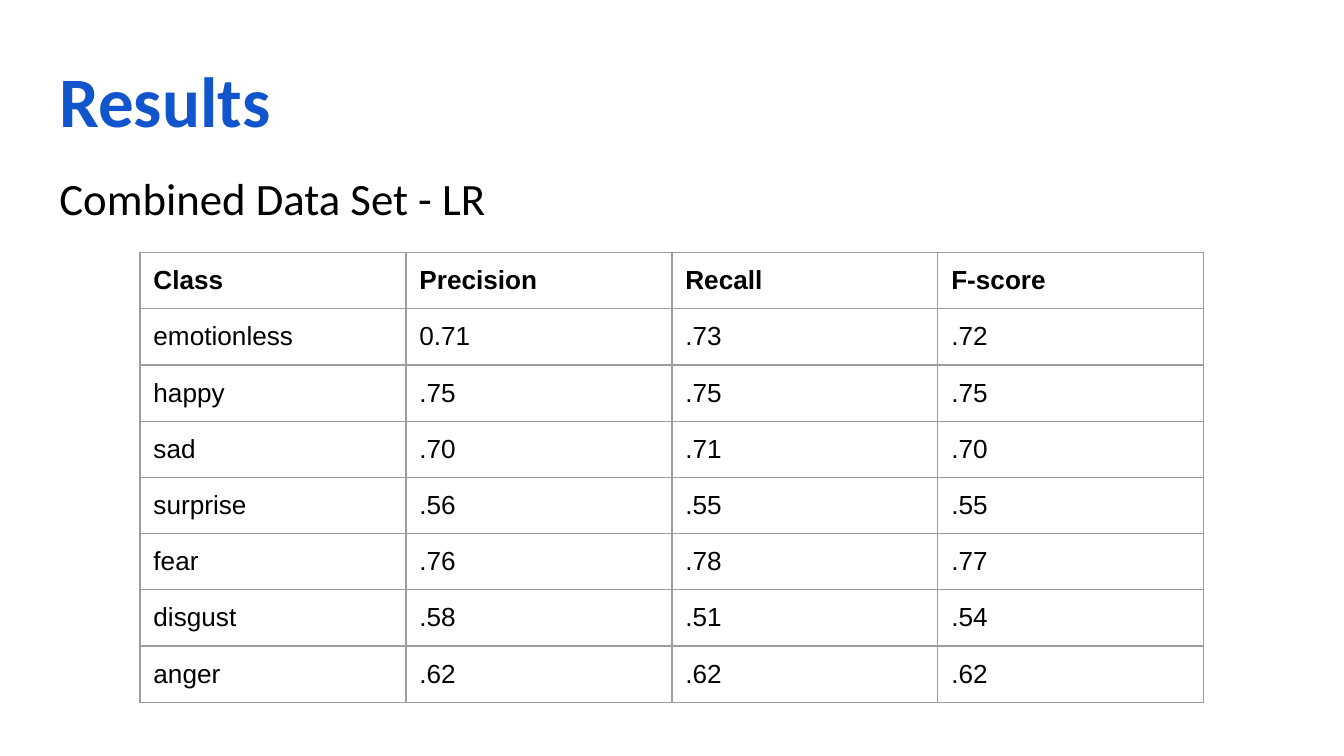
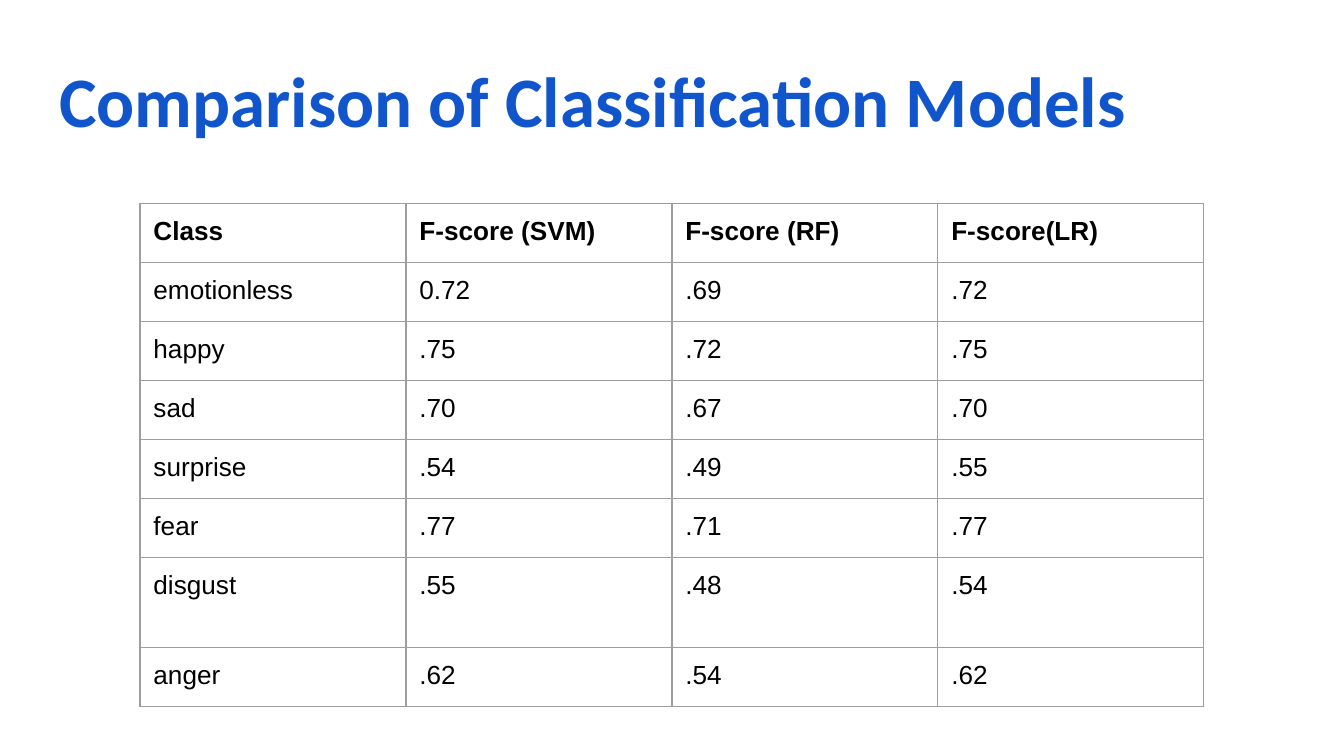
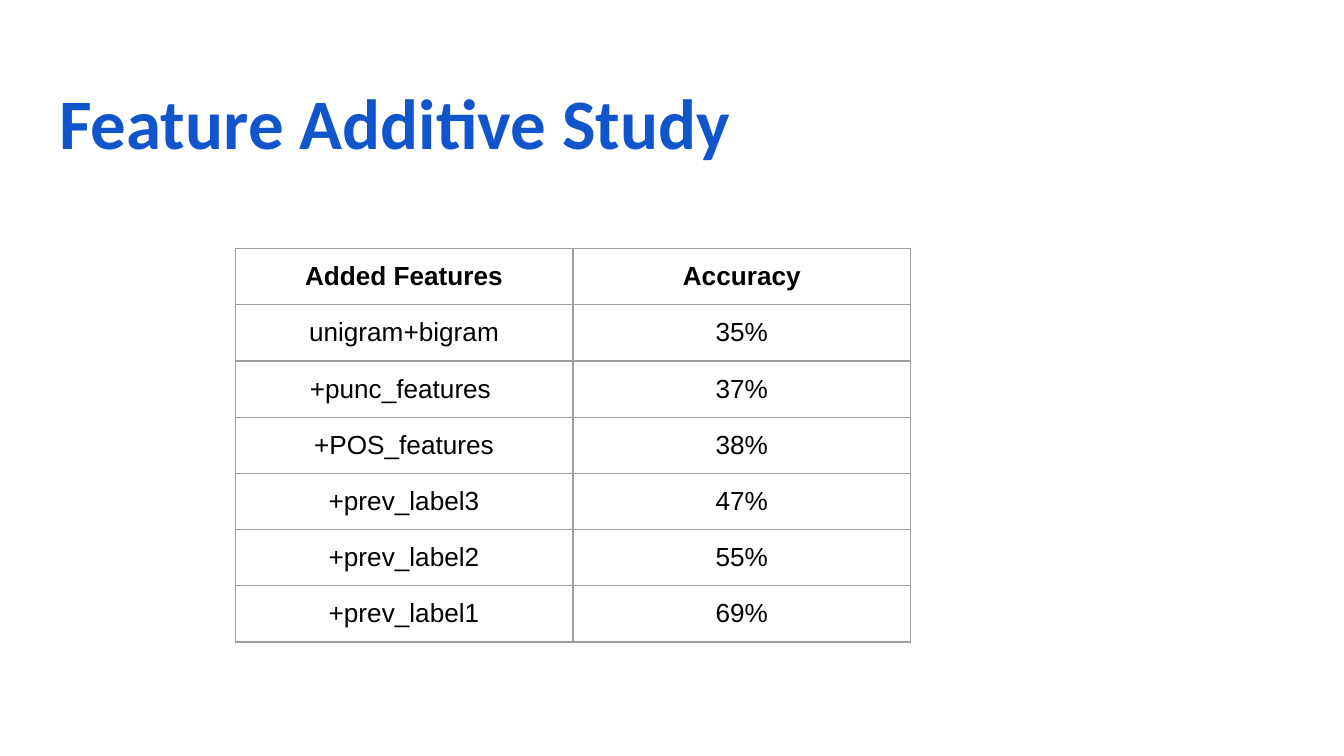
from lxml import etree
from pptx import Presentation
from pptx import util as u
from pptx.dml.color import RGBColor
from pptx.enum import text
from pptx.oxml.ns import qn

WIDTH = u.Inches(10)
HEIGHT = u.Emu(WIDTH * 9 // 16)
INSET = u.Emu(91425)
BLUE, BLACK, GREY = "1155CC", "000000", "9E9E9E"
HEADING_FONT, TABLE_FONT = "Calibri", "Arial"
TITLE_AND_BODY, TITLE_ONLY = 1, 5
LEFT, CENTER = text.PP_ALIGN.LEFT, text.PP_ALIGN.CENTER

# Places and sizes are percentages of the slide's width and height.
TEXT_LEFT, TEXT_WIDTH = 3.41, 93.2
TITLE_TOP, TITLE_HEIGHT = 5.7, 11.2
BODY_TOP, BODY_HEIGHT = 19.75, 66.5

EMOTIONS = ["emotionless", "happy", "sad", "surprise", "fear", "disgust", "anger"]
LR_SCORES = {
    "Precision": ["0.71", ".75", ".70", ".56", ".76", ".58", ".62"],
    "Recall": [".73", ".75", ".71", ".55", ".78", ".51", ".62"],
    "F-score": [".72", ".75", ".70", ".55", ".77", ".54", ".62"],
}
MODEL_SCORES = {
    "F-score (SVM)": ["0.72", ".75", ".70", ".54", ".77", ".55", ".62"],
    "F-score (RF)": [".69", ".72", ".67", ".49", ".71", ".48", ".54"],
    "F-score(LR)": LR_SCORES["F-score"],
}
FEATURE_ACCURACY = {
    "Added Features": ["unigram+bigram", "+punc_features ", "+POS_features",
                       "+prev_label3", "+prev_label2", "+prev_label1"],
    "Accuracy": ["35%", "37%", "38%", "47%", "55%", "69%"],
}


def across(percent):
    return round(WIDTH * percent / 100)


def down(percent):
    return round(HEIGHT * percent / 100)


def color(hex_code):
    return RGBColor.from_string(hex_code)


def write(paragraph, words, font, size, hex_code, bold=False, align=LEFT):
    paragraph.alignment = align
    run = paragraph.add_run()
    run.text = words
    run.font.name, run.font.size, run.font.bold = font, u.Pt(size), bold
    run.font.color.rgb = color(hex_code)


def inset(holder):
    """Give a text frame or a table cell the shared margins."""
    holder.margin_left = holder.margin_right = INSET
    holder.margin_top = holder.margin_bottom = INSET


def place_text(placeholder, top, height):
    """Move a placeholder into the text column and return its first paragraph."""
    placeholder.left, placeholder.width = across(TEXT_LEFT), across(TEXT_WIDTH)
    placeholder.top, placeholder.height = down(top), down(height)
    frame = placeholder.text_frame
    inset(frame)
    frame.word_wrap = True
    frame.auto_size = text.MSO_AUTO_SIZE.NONE
    frame.vertical_anchor = text.MSO_ANCHOR.TOP
    return frame.paragraphs[0]


def add_titled_slide(deck, layout, title, top=TITLE_TOP):
    slide = deck.slides.add_slide(deck.slide_layouts[layout])
    heading = place_text(slide.shapes.title, top, TITLE_HEIGHT)
    write(heading, title, HEADING_FONT, 38, BLUE, bold=True)
    return slide


def add_subtitle(slide, words):
    subtitle = place_text(slide.placeholders[1], BODY_TOP, BODY_HEIGHT)
    properties = subtitle._p.get_or_add_pPr()
    properties.set("marL", "0")
    properties.set("indent", "0")
    etree.SubElement(properties, qn("a:buNone"))
    subtitle.line_spacing = 1.15
    subtitle.space_before, subtitle.space_after = u.Pt(0), u.Pt(16)
    write(subtitle, words, HEADING_FONT, 24, BLACK)


def outline(cell):
    properties = cell._tc.get_or_add_tcPr()
    for side in ("lnL", "lnR", "lnT", "lnB"):
        line = etree.SubElement(properties, qn(f"a:{side}"), w=str(u.Pt(0.75)))
        fill = etree.SubElement(line, qn("a:solidFill"))
        etree.SubElement(fill, qn("a:srgbClr"), val=GREY)


def add_grid(slide, columns, left, top, column_width, row_heights, align=LEFT):
    """Draw a table from a mapping of column heads to their values."""
    rows = [list(columns), *zip(*columns.values())]
    grid = slide.shapes.add_table(
        len(rows), len(columns), across(left), down(top),
        across(column_width * len(columns)), down(sum(row_heights))).table
    grid.first_row = grid.horz_banding = False
    for column in grid.columns:
        column.width = across(column_width)
    for r, (values, height) in enumerate(zip(rows, row_heights)):
        grid.rows[r].height = down(height)
        for c, value in enumerate(values):
            cell = grid.cell(r, c)
            inset(cell)
            outline(cell)
            cell.fill.background()
            write(cell.text_frame.paragraphs[0], value, TABLE_FONT, 14, BLACK,
                  bold=r == 0, align=align)


def add_score_grid(slide, scores, top, row_heights):
    add_grid(slide, {"Class": EMOTIONS, **scores}, 10.42, top, 19.79, row_heights)


def main():
    deck = Presentation()
    deck.slide_width, deck.slide_height = WIDTH, HEIGHT

    results = add_titled_slide(deck, TITLE_AND_BODY, "Results")
    add_subtitle(results, "Combined Data Set - LR")
    add_score_grid(results, LR_SCORES, 33.42, [7.3] * 8)

    comparison = add_titled_slide(deck, TITLE_ONLY, "Comparison of Classification Models")
    add_score_grid(comparison, MODEL_SCORES, 26.93, [7.8] * 6 + [11.98, 7.8])

    study = add_titled_slide(deck, TITLE_ONLY, "Feature Additive Study", top=8.65)
    add_grid(study, FEATURE_ACCURACY, 17.5, 32.88, 25.13, [6.4] * 7, CENTER)

    deck.save("out.pptx")


if __name__ == "__main__":
    main()
